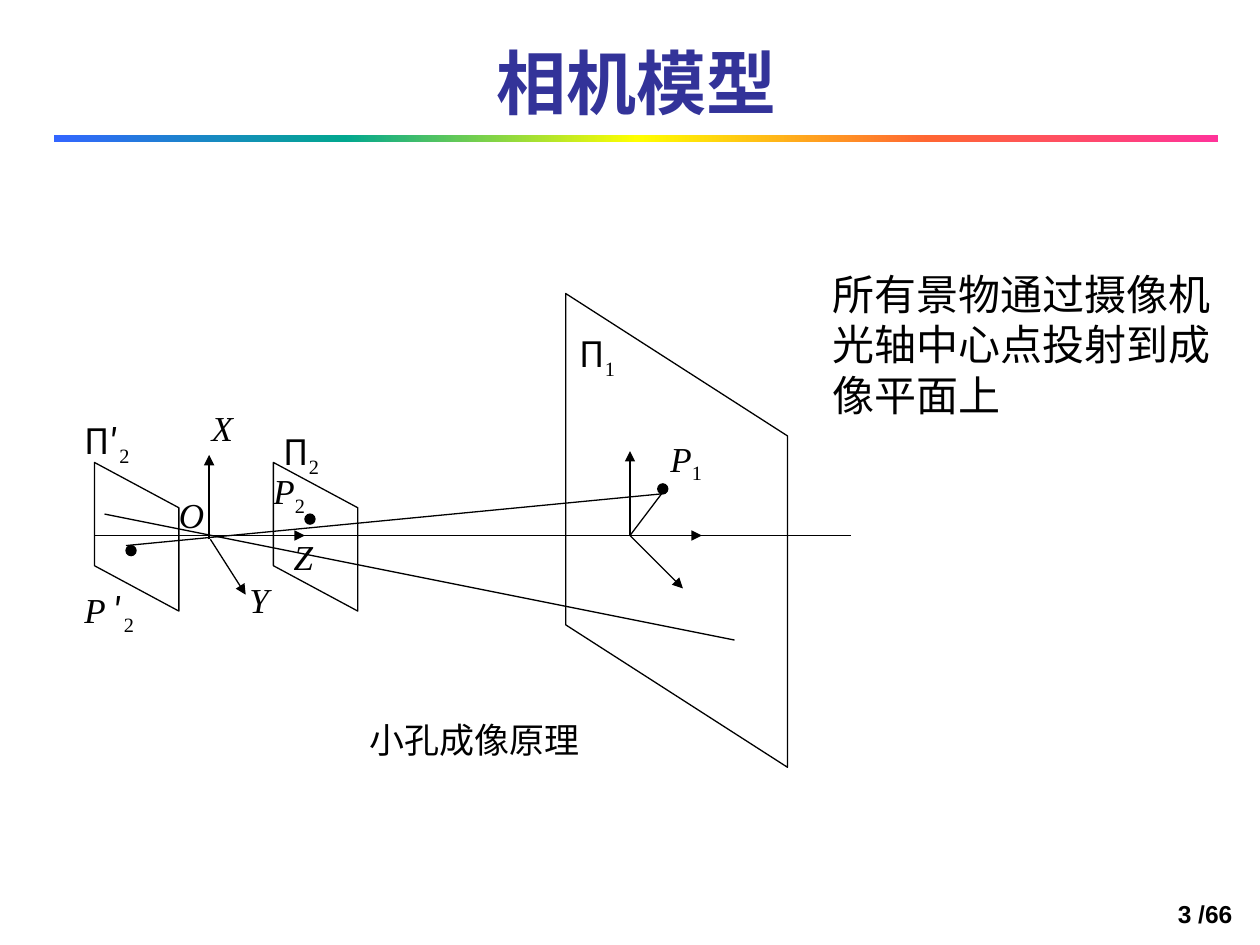
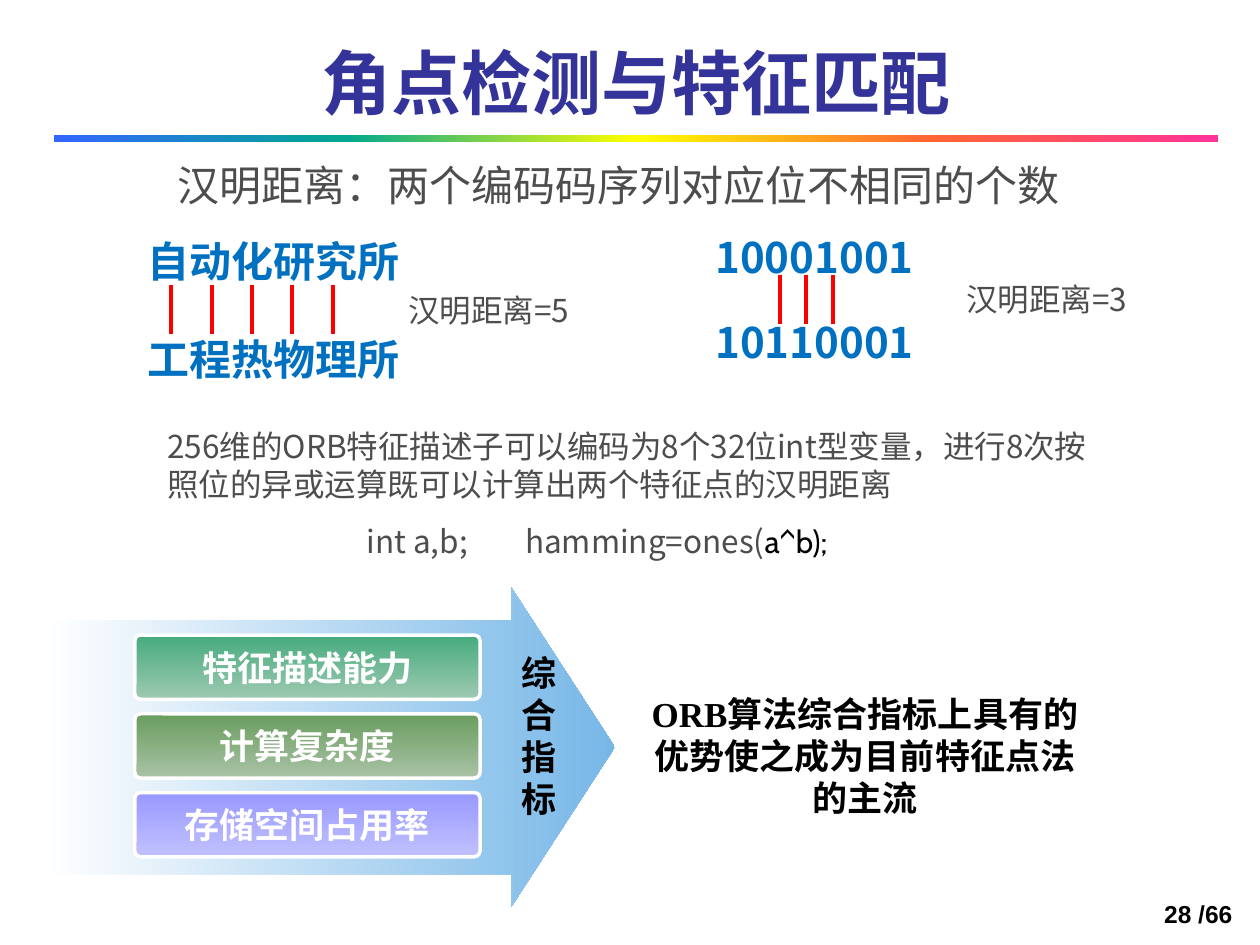
from lxml.etree import SubElement
from pptx import Presentation
from pptx.dml.color import RGBColor
from pptx.enum.shapes import MSO_CONNECTOR, MSO_SHAPE
from pptx.enum.text import MSO_ANCHOR, MSO_AUTO_SIZE, PP_ALIGN
from pptx.oxml.ns import qn
from pptx.util import Inches, Pt

BLACK = RGBColor(0x00, 0x00, 0x00)
WHITE = RGBColor(0xFF, 0xFF, 0xFF)
NAVY = RGBColor(0x33, 0x33, 0x99)
GRAY = RGBColor(0x4D, 0x4D, 0x4D)
BLUE = RGBColor(0x00, 0x70, 0xC0)
RED = RGBColor(0xFF, 0x00, 0x00)
SKY = RGBColor(0x77, 0xB7, 0xE7)
RAINBOW = [RGBColor(0x33, 0x66, 0xFF), RGBColor(0x01, 0xA7, 0x8F), RGBColor(0xFF, 0xFF, 0x00),
           RGBColor(0xFF, 0x66, 0x33), RGBColor(0xFF, 0x33, 0x99)]
GREENS = [RGBColor(0x45, 0xAB, 0x7D), RGBColor(0x9F, 0xC9, 0xB2)]
OLIVES = [RGBColor(0x69, 0x9D, 0x5F), RGBColor(0xAA, 0xC2, 0xA6)]
VIOLETS = [RGBColor(0x99, 0x99, 0xFF), RGBColor(0xC0, 0xC0, 0xFF)]
SANS = "Noto Sans CJK SC"
SERIF = "Times New Roman"


def write(box, text, font=SANS, size=20, color=BLACK, bold=False, italic=False, base=0,
          align=PP_ALIGN.LEFT, anchor=MSO_ANCHOR.TOP, wrap=True, grow=False, margins=None):
    frame = box.text_frame
    frame.word_wrap = wrap
    frame.auto_size = MSO_AUTO_SIZE.SHAPE_TO_FIT_TEXT if grow else MSO_AUTO_SIZE.NONE
    frame.vertical_anchor = anchor
    if margins is not None:
        frame.margin_left = frame.margin_right = Inches(margins[0])
        frame.margin_top = frame.margin_bottom = Inches(margins[1])
    para = frame.paragraphs[0]
    para.alignment = align
    span = para.add_run()
    span.text = text
    span.font.name = font
    span.font.size = Pt(size)
    span.font.bold = bold
    span.font.italic = italic
    span.font.color.rgb = color
    properties = span.font._element
    if base:
        properties.set("baseline", str(base * 1000))
    SubElement(properties, qn("a:ea")).set("typeface", SANS)


def draw_line(page, start, end, color=BLACK, width=0.75, arrow=False):
    line = page.shapes.add_connector(MSO_CONNECTOR.STRAIGHT, *map(Inches, start + end))
    line.line.color.rgb = color
    line.line.width = Pt(width)
    if arrow:
        SubElement(line.line._get_or_add_ln(), qn("a:tailEnd")).set("type", "triangle")
    SubElement(line._element.spPr, qn("a:effectLst"))


deck = Presentation()
deck.slide_width, deck.slide_height = Inches(10), Inches(7.5)
gradients = []
pages = []

for title_text, number in [("相机模型", "3 /66"), ("角点检测与特征匹配", "28 /66")]:
    page = deck.slides.add_slide(deck.slide_layouts[5])
    pages.append(page)
    title = page.shapes.title
    title.left, title.top, title.width, title.height = map(Inches, (0.43, 0.08, 9.24, 0.95))
    write(title, title_text, size=40, color=NAVY, bold=True,
          align=PP_ALIGN.CENTER, anchor=MSO_ANCHOR.BOTTOM)
    band = page.shapes.add_shape(MSO_SHAPE.RECTANGLE, *map(Inches, (0.43, 1.07, 9.24, 0.06)))
    band.line.fill.background()
    gradients.append((band, RAINBOW, 0))
    footer = page.shapes.add_textbox(*map(Inches, (7.8, 6.92, 2.08, 0.5)))
    write(footer, number, font="Arial", size=14, bold=True,
          align=PP_ALIGN.RIGHT, anchor=MSO_ANCHOR.BOTTOM)

camera, matching = pages

planes = [(4.49, 2.33, 1.76, 3.76, 1.13, True),
          (2.17, 3.67, 0.67, 1.18, 0.36, False),
          (0.75, 3.67, 0.67, 1.18, 0.36, False)]
for left, top, width, height, slant, filled in planes:
    right, bottom = left + width, top + height
    builder = camera.shapes.build_freeform(Inches(left), Inches(top))
    corners = [(left, bottom - slant), (right, bottom), (right, top + slant)]
    builder.add_line_segments([(Inches(x), Inches(y)) for x, y in corners], close=True)
    plane = builder.convert_to_shape()
    plane.shadow.inherit = False
    plane.line.color.rgb = BLACK
    plane.line.width = Pt(0.75)
    if filled:
        plane.fill.solid()
        plane.fill.fore_color.rgb = WHITE
    else:
        plane.fill.background()

rays = [((1, 4.33), (5.25, 3.92)), ((6.75, 4.25), (0.75, 4.25)),
        ((0.83, 4.08), (5.83, 5.08)), ((5.25, 3.92), (5, 4.25))]
axes = [((4.83, 4.25), (5.57, 4.25)), ((5, 4.25), (5, 3.58)), ((5, 4.25), (5.42, 4.67)),
        ((1.67, 4.28), (1.95, 4.72)), ((1.66, 4.28), (1.66, 3.61)), ((1.66, 4.25), (2.42, 4.25))]
for start, end in rays:
    draw_line(camera, start, end)
for start, end in axes:
    draw_line(camera, start, end, arrow=True)

for left, top in [(5.22, 3.84), (2.42, 4.08), (1, 4.33)]:
    point = camera.shapes.add_shape(MSO_SHAPE.OVAL, *map(Inches, (left, top, 0.08, 0.08)))
    point.shadow.inherit = False
    point.fill.solid()
    point.fill.fore_color.rgb = BLACK
    point.line.color.rgb = BLACK
    point.line.width = Pt(0.75)

letter = {"font": SERIF, "italic": True}
index = {"font": SERIF, "base": -25}
labels = [
    (5.32, 3.47, [("P", letter), ("1", index)]),
    (1.42, 3.92, [("O", letter)]),
    (1.98, 4.59, [("Y", letter)]),
    (1.68, 3.23, [("X", letter)]),
    (2.33, 4.25, [("Z", letter)]),
    (4.6, 2.64, [("Π", {}), ("1", index)]),
    (2.25, 3.42, [("Π", {}), ("2", index)]),
    (2.17, 3.73, [("P", letter), ("2", index)]),
    (0.67, 3.33, [("Π′", {}), ("2", index)]),
    (0.67, 4.67, [("P ", letter), ("′", {}), ("2", index)]),
]
for left, top, spans in labels:
    box = camera.shapes.add_textbox(*map(Inches, (left, top, 0.52, 0.6)))
    for text, style in spans:
        write(box, text, align=PP_ALIGN.JUSTIFY, margins=(0, 0), **style)

caption = camera.shapes.add_textbox(*map(Inches, (1.48, 5.69, 4.57, 0.64)))
write(caption, "小孔成像原理", align=PP_ALIGN.CENTER, margins=(0.02, 0.01))
remark = camera.shapes.add_textbox(*map(Inches, (6.51, 2.08, 3.32, 1.31)))
write(remark, "所有景物通过摄像机光轴中心点投射到成像平面上", size=24, grow=True)

arrow = matching.shapes.add_shape(MSO_SHAPE.RIGHT_ARROW, *map(Inches, (0.35, 4.66, 4.53, 2.54)))
arrow.adjustments[0], arrow.adjustments[1] = 0.793, 0.324
arrow.line.fill.background()
gradients.append((arrow, [WHITE, SKY], 0))

criteria = [("特征描述能力", GREENS), ("计算复杂度", OLIVES), ("存储空间占用率", VIOLETS)]
for row, (text, colors) in enumerate(criteria):
    bar = matching.shapes.add_shape(
        MSO_SHAPE.ROUNDED_RECTANGLE, *map(Inches, (1.07, 5.04 + row * 0.625, 2.74, 0.51)))
    bar.adjustments[0] = 0.09
    bar.line.color.rgb = WHITE
    bar.line.width = Pt(2)
    gradients.append((bar, colors, 270))
    write(bar, text, font="Arial", color=WHITE, bold=True, wrap=False,
          align=PP_ALIGN.CENTER, anchor=MSO_ANCHOR.MIDDLE)

conclusion = matching.shapes.add_shape(
    MSO_SHAPE.ROUNDED_RECTANGLE, *map(Inches, (4.94, 5.35, 3.85, 1.29)))
conclusion.adjustments[0] = 0.09
conclusion.shadow.inherit = False
conclusion.fill.background()
conclusion.line.fill.background()
write(conclusion, "ORB算法综合指标上具有的优势使之成为目前特征点法的主流", font=SERIF, bold=True,
      align=PP_ALIGN.CENTER, anchor=MSO_ANCHOR.MIDDLE)

heading = {"size": 24, "color": GRAY, "wrap": False}
bits = {"size": 24, "color": BLUE, "bold": True, "wrap": False}
words = {**bits, "font": "Cabin"}
note = {"size": 18, "color": GRAY, "wrap": False}
texts = [
    ((4.04, 5.12, 0.45, 1.45), "综合指标", {"font": SERIF, "bold": True}),
    ((1.31, 1.22, 7.27, 0.5), "汉明距离：两个编码码序列对应位不相同的个数", heading),
    ((5.58, 1.79, 1.86, 0.5), "10001001", bits),
    ((5.58, 2.46, 1.86, 0.5), "10110001", bits),
    ((7.57, 2.17, 1.55, 0.4), "汉明距离=3", note),
    ((1.07, 1.82, 2.23, 0.5), "自动化研究所", words),
    ((1.07, 2.6, 2.23, 0.5), "工程热物理所", words),
    ((3.14, 2.26, 1.55, 0.4), "汉明距离=5", note),
    ((1.23, 3.34, 7.56, 0.71),
     "256维的ORB特征描述子可以编码为8个32位int型变量，进行8次按照位的异或运算既可以计算出两个特征点的汉明距离",
     {"size": 18, "color": GRAY}),
]
for place, text, style in texts:
    box = matching.shapes.add_textbox(*map(Inches, place))
    write(box, text, grow=True, **style)

code = matching.shapes.add_textbox(*map(Inches, (2.81, 4.09, 4.27, 0.4)))
write(code, "int a,b;\thamming=ones(", grow=True, **note)
write(code, "a^b);", font="Cabin", size=18, wrap=False, grow=True)
tabs = SubElement(code.text_frame.paragraphs[0]._p.get_or_add_pPr(), qn("a:tabLst"))
SubElement(tabs, qn("a:tab"), pos=str(Inches(1.26)), algn="l")

for first, step, count, top in [(1.36, 0.32, 5, 2.26), (6.19, 0.21, 3, 2.18)]:
    for place in range(count):
        x = first + place * step
        draw_line(matching, (x, top), (x, top + 0.39), color=RED, width=2.25)

for shape, colors, angle in gradients:
    shape.shadow.inherit = False
    shape.fill.gradient()
    shape.fill.gradient_angle = angle
    stops = shape._element.spPr.find(qn("a:gradFill")).find(qn("a:gsLst"))
    stops.clear()
    for order, color in enumerate(colors):
        stop = SubElement(stops, qn("a:gs"), pos=str(order * 100000 // (len(colors) - 1)))
        SubElement(stop, qn("a:srgbClr"), val=str(color))

deck.save("out.pptx")
